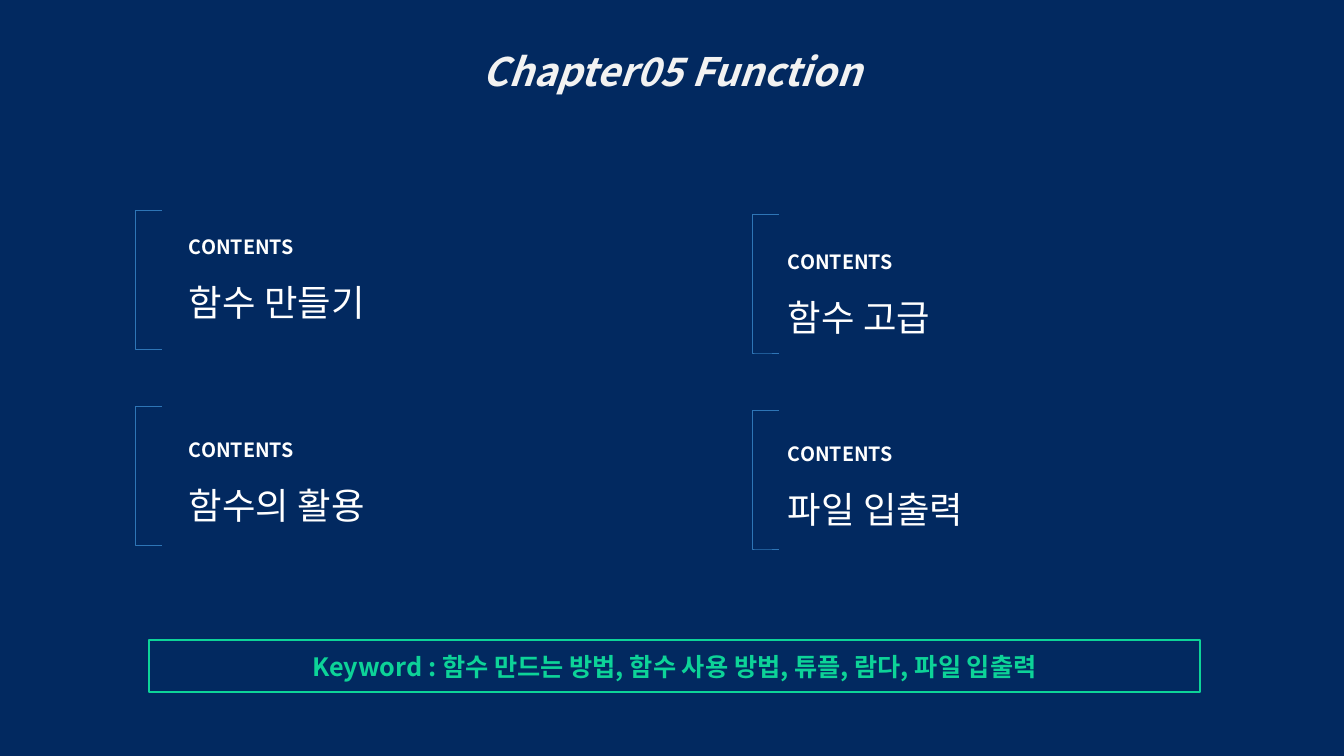
from pptx import Presentation
from pptx.dml.color import RGBColor
from pptx.enum.shapes import MSO_SHAPE
from pptx.enum.text import MSO_ANCHOR, MSO_AUTO_SIZE, PP_ALIGN
from pptx.oxml.ns import qn
from pptx.util import Emu, Pt
from lxml.etree import SubElement

W, H = 1344, 756


def px(n):
    return Emu(round(n * 914400 / 100.8))


def rgb(value):
    return RGBColor.from_string(value)


def add_text(p, text, font, size, color, bold=False, italic=False,
             align=PP_ALIGN.LEFT, spacing=None):
    p.alignment = align
    if spacing:
        p.line_spacing = spacing
    r = p.add_run()
    r.text = text
    r.font.name = font
    r.font.size = Pt(size)
    r.font.bold = bold
    r.font.italic = italic
    r.font.color.rgb = rgb(color)
    # Hangul takes the East Asian typeface
    SubElement(r.font._element, qn("a:ea")).set("typeface", font)


class Deck:
    FONT = "Noto Sans CJK KR"
    NAVY, WHITE, PALE = "022960", "FFFFFF", "F2F2F2"
    BLUE, GREEN = "2E75B6", "0DD398"

    def __init__(self):
        self.prs = Presentation()
        self.prs.slide_width, self.prs.slide_height = px(W), px(H)
        self.s = self.prs.slides.add_slide(self.prs.slide_layouts[6])
        fill = self.s.background.fill
        fill.solid()
        fill.fore_color.rgb = rgb(self.NAVY)

    def text_box(self, x, y, w, h, lines, **common):
        sp = self.s.shapes.add_textbox(px(x), px(y), px(w), px(h))
        tf = sp.text_frame
        tf.word_wrap = True
        tf.auto_size = MSO_AUTO_SIZE.SHAPE_TO_FIT_TEXT
        for i, (text, fmt) in enumerate(lines):
            p = tf.add_paragraph() if i else tf.paragraphs[0]
            add_text(p, text, self.FONT, spacing=1.5, **fmt, **common)

    def outline(self, kind, x, y, w, h, color, width):
        sp = self.s.shapes.add_shape(kind, px(x), px(y), px(w), px(h))
        sp.shadow.inherit = False
        sp.fill.background()
        sp.line.color.rgb = rgb(color)
        sp.line.width = Pt(width)
        return sp

    def bracket(self, x, y):
        sp = self.outline(MSO_SHAPE.LEFT_BRACKET, x, y, 27, 139, self.BLUE, 0.5)
        sp.adjustments[0] = 0

    def topic(self, x, y, name):
        self.text_box(x, y, 405, 104,
                      [("CONTENTS", dict(size=14, bold=True)),
                       (name, dict(size=26))], color=self.WHITE)

    def keywords(self, x, y, w, h, text):
        sp = self.outline(MSO_SHAPE.RECTANGLE, x, y, w, h, self.GREEN, 1)
        tf = sp.text_frame
        tf.word_wrap = True
        tf.vertical_anchor = MSO_ANCHOR.MIDDLE
        add_text(tf.paragraphs[0], text, self.FONT, 18, self.GREEN,
                 bold=True, align=PP_ALIGN.CENTER)


def main():
    deck = Deck()

    # Title
    deck.text_box(336, 19, 672, 73, [("Chapter05 Function", dict(size=28))],
                  color=deck.PALE, bold=True, italic=True,
                  align=PP_ALIGN.CENTER)

    # Topics: bracket position, text position, name
    topics = [
        (135, 210, 179, 218, "함수 만들기"),
        (135, 406, 179, 421, "함수의 활용"),
        (752, 214, 778, 233, "함수 고급"),
        (752, 410, 778, 425, "파일 입출력"),
    ]
    for bracket_x, bracket_y, text_x, text_y, name in topics:
        deck.bracket(bracket_x, bracket_y)
        deck.topic(text_x, text_y, name)

    # Keyword bar
    deck.keywords(149, 640, 1051, 52,
                  "Keyword : 함수 만드는 방법, 함수 사용 방법, 튜플, 람다, 파일 입출력")

    deck.prs.save("out.pptx")


if __name__ == "__main__":
    main()
